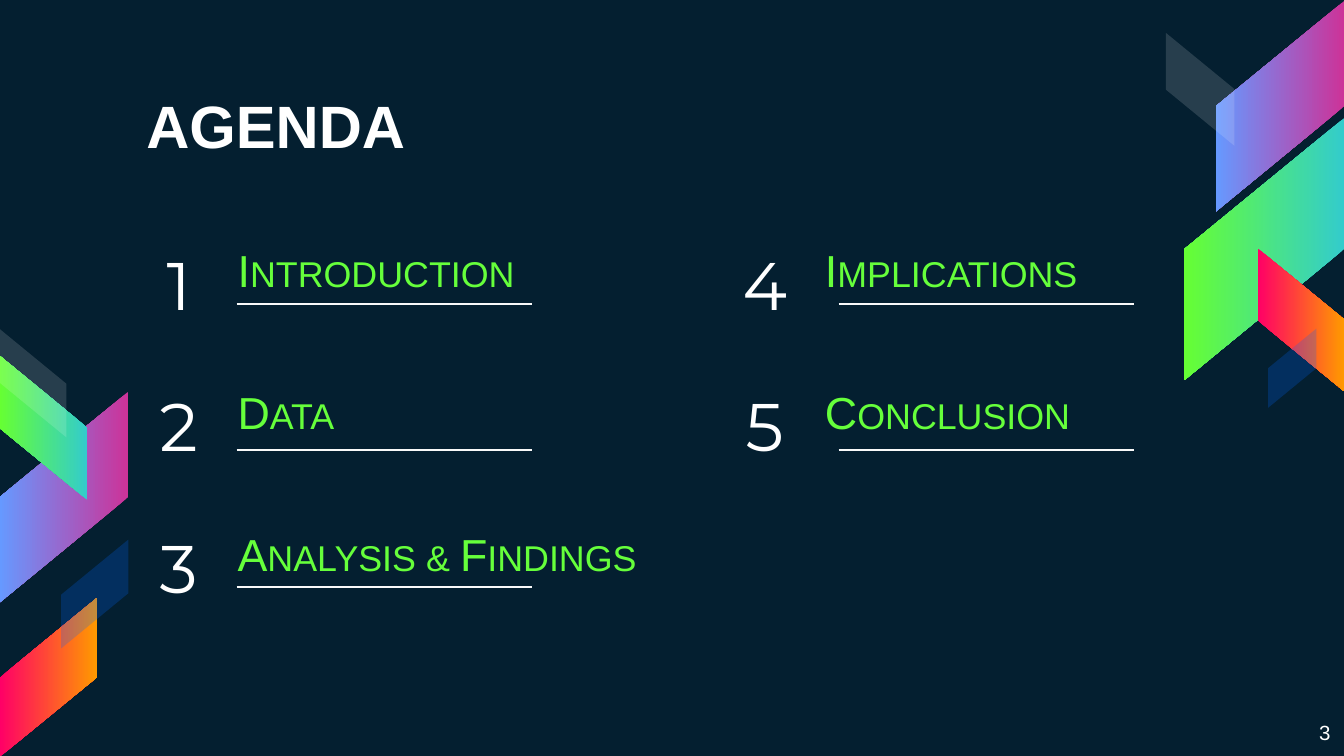
"""Build the agenda slide with five numbered topics between coloured ribbons."""
import lxml.etree
import pptx
import pptx.dml.color
import pptx.enum.shapes
import pptx.enum.text
import pptx.oxml.ns
import pptx.util
from pptx.util import Inches

qn = pptx.oxml.ns.qn
ALIGN = pptx.enum.text.PP_ALIGN
AUTO = pptx.enum.text.MSO_AUTO_SIZE


def rgb(color):
    return pptx.dml.color.RGBColor.from_string(color)


def add_text(text, x, y, w, h, size, color="FFFFFF", font="Arial", bold=False,
             align=ALIGN.LEFT, small_caps=False, inset=0.05, auto=AUTO.SHAPE_TO_FIT_TEXT):
    tf = slide.shapes.add_textbox(Inches(x), Inches(y), Inches(w), Inches(h)).text_frame
    tf.word_wrap = True
    tf.auto_size = auto
    tf.margin_top = tf.margin_bottom = Inches(inset)
    p = tf.paragraphs[0]
    p.alignment = align
    r = p.add_run()
    r.text = text
    r.font.name = font
    r.font.size = pptx.util.Pt(size)
    r.font.bold = bold
    r.font.color.rgb = rgb(color)
    if small_caps:
        r.font._element.set("cap", "small")


prs = pptx.Presentation()
prs.slide_width = Inches(10)
prs.slide_height = Inches(10 * 9 / 16)
slide = prs.slides.add_slide(prs.slide_layouts[6])
slide.background.fill.solid()
slide.background.fill.fore_color.rgb = rgb("041F30")

PURPLE = ("CC3399", "6699FF")
GREEN = ("33CCCC", "66FF33")
ORANGE = ("FF0066", "FF9900")
WHITE = ("FFFFFF", 14)
BLUE = ("0066FF", 23)
ribbons = [
    (8.74, 0.31, 1.57, 0.96, 90, True, PURPLE),
    (8.43, 1.26, 1.95, 1.19, 90, True, GREEN),
    (9.15, 2.06, 1.06, 0.64, 270, False, ORANGE),
    (8.51, 0.41, 0.84, 0.51, 270, False, WHITE),
    (9.32, 2.56, 0.59, 0.36, 270, True, BLUE),
    (-0.31, 3.22, 1.57, 0.96, 90, True, PURPLE),
    (-0.21, 2.86, 1.07, 0.65, 90, False, GREEN),
    (-0.23, 4.68, 1.18, 0.72, 270, True, ORANGE),
    (-0.16, 2.6, 0.81, 0.5, 270, False, WHITE),
    (0.3, 4.17, 0.81, 0.5, 270, True, BLUE),
]
for x, y, w, h, rotation, flip, paint in ribbons:
    s = slide.shapes.add_shape(pptx.enum.shapes.MSO_SHAPE.PARALLELOGRAM,
                               Inches(x), Inches(y), Inches(w), Inches(h))
    s.adjustments[0] = 0.82
    s.rotation = rotation
    s.shadow.inherit = False
    s.line.fill.background()
    if flip:
        s._element.spPr.find(qn("a:xfrm")).set("flipH", "1")
    if paint in (WHITE, BLUE):
        color, opacity = paint
        s.fill.solid()
        s.fill.fore_color.rgb = rgb(color)
        clr = s._element.spPr.find(qn("a:solidFill")).find(qn("a:srgbClr"))
        lxml.etree.SubElement(clr, qn("a:alpha")).set("val", str(opacity * 1000))
    else:
        s.fill.gradient()
        s.fill.gradient_angle = 270
        for stop, color, position in zip(s.fill.gradient_stops, paint, (0, 1)):
            stop.color.rgb = rgb(color)
            stop.position = position

add_text("3", 9.36, 5.26, 0.64, 0.36, 11, align=ALIGN.RIGHT, inset=0.1, auto=AUTO.NONE)
add_text("AGENDA", 0.99, 0.61, 2.87, 0.64, 32, bold=True)

columns = [
    (0.76, 1.67, 1.76, [("Introduction", 2.87), ("Data", 2.87), ("Analysis & Findings", 3.33)]),
    (5.12, 6.04, 6.24, [("Implications", 2.87), ("Conclusion", 2.87)]),
]
rows = [(1.76, 2.26), (2.81, 3.35), (3.87, 4.37)]
number = 0
for number_x, topic_x, rule_x, topics in columns:
    for (topic, topic_w), (y, rule_y) in zip(topics, rows):
        number += 1
        add_text(str(number), number_x, y, 1.14, 0.71, 36, font="Montserrat", align=ALIGN.CENTER)
        add_text(topic, topic_x, y, topic_w, 0.5, 24, color="66FF3B", small_caps=True)
        s = slide.shapes.add_connector(pptx.enum.shapes.MSO_CONNECTOR.STRAIGHT,
                                       Inches(rule_x), Inches(rule_y),
                                       Inches(rule_x + 2.2), Inches(rule_y))
        s.line.color.rgb = rgb("F9F9F9")
        s.line.width = pptx.util.Pt(1)
        lxml.etree.SubElement(s._element.spPr, qn("a:effectLst"))

prs.save("out.pptx")
